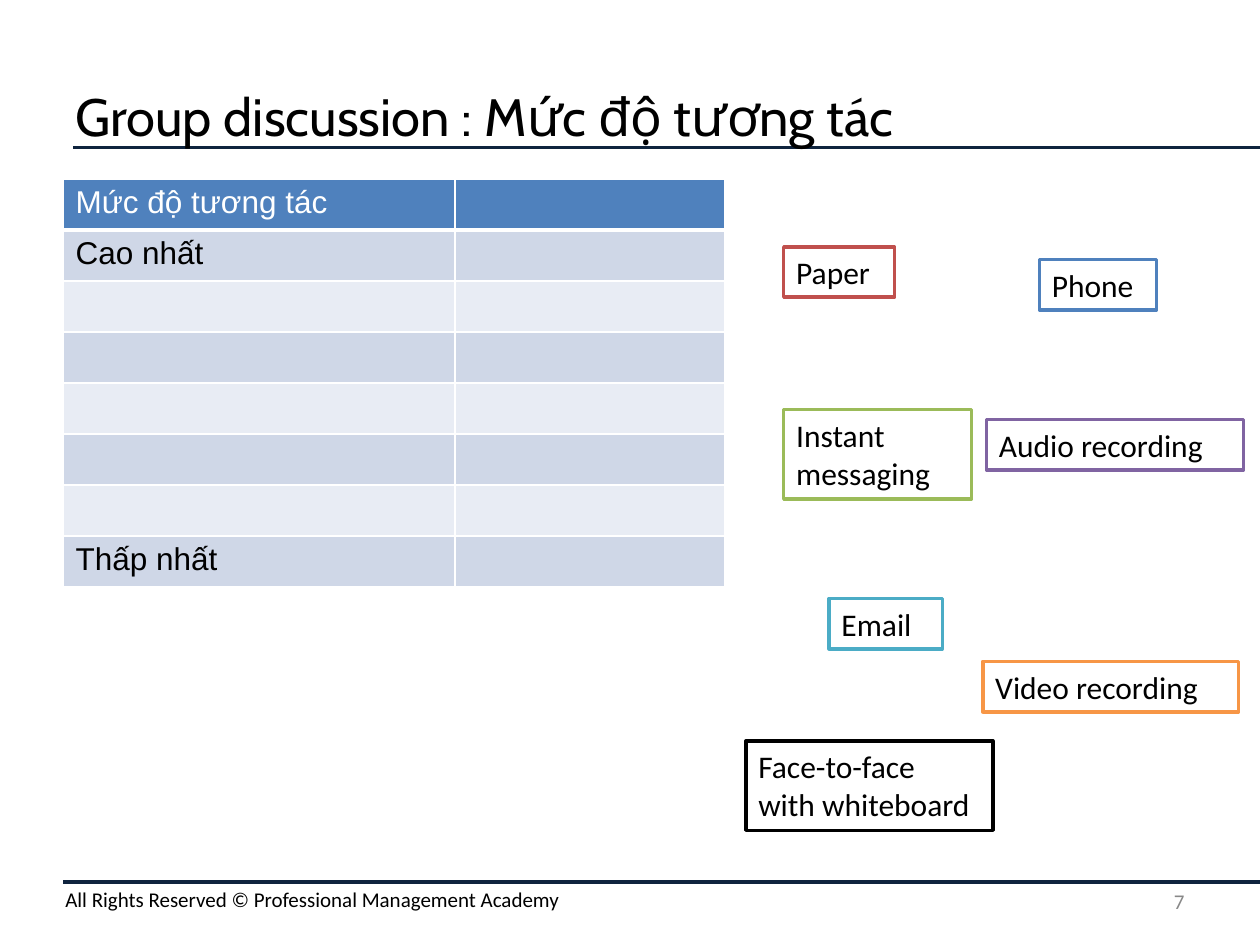
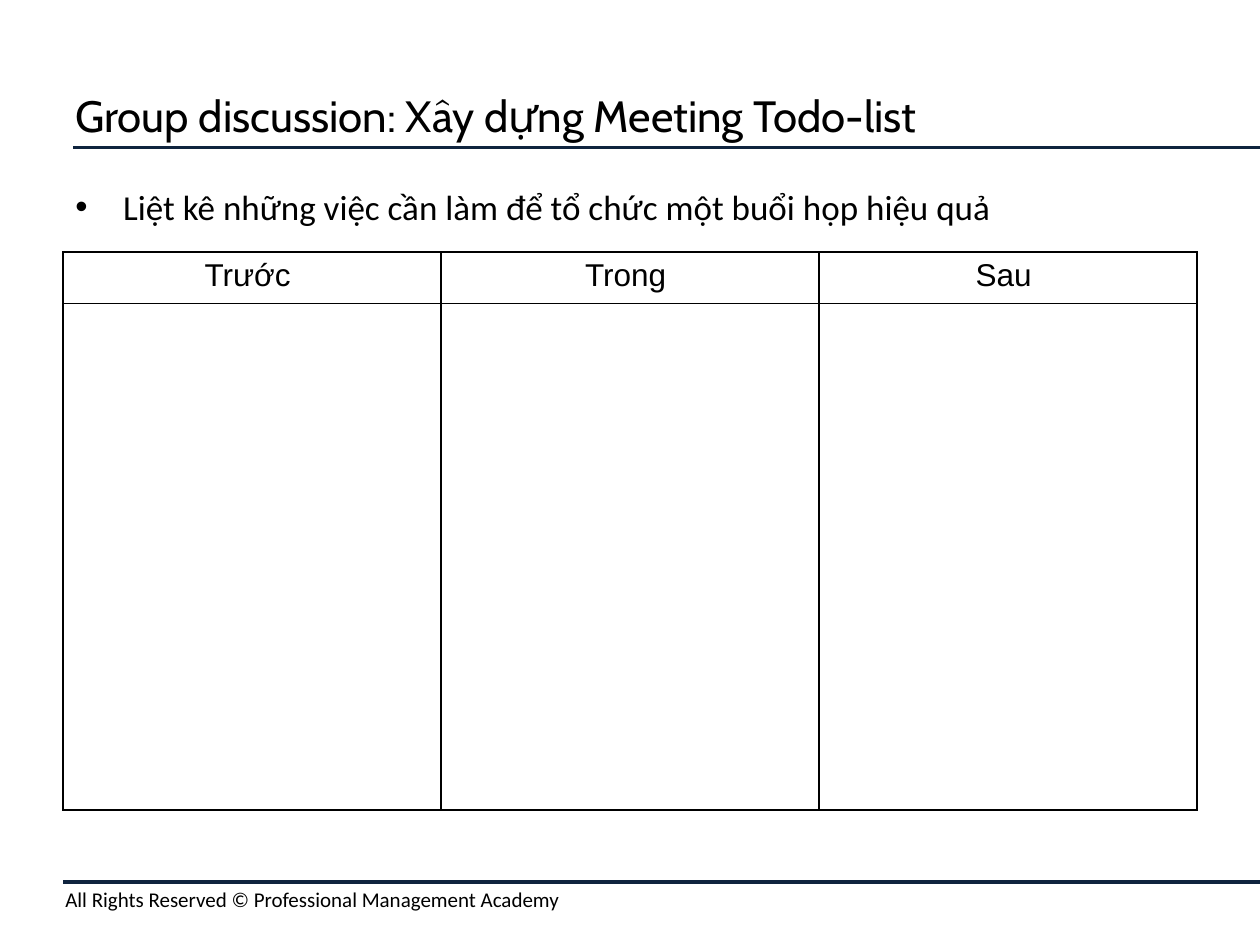
from lxml.etree import SubElement
from pptx import Presentation
from pptx.dml.color import RGBColor
from pptx.enum.shapes import MSO_CONNECTOR, MSO_SHAPE
from pptx.enum.text import MSO_ANCHOR, PP_ALIGN
from pptx.oxml.ns import qn
from pptx.util import Inches, Pt

COLORS = {
    "ink": "000000", "white": "FFFFFF", "rule": "0F243E", "muted": "888888",
    "blue": "4F81BD", "red": "C0504D", "green": "9BBB59", "purple": "8064A2",
    "teal": "4BACC6", "orange": "F79646", "band": "CFD7E7", "band_light": "E8ECF4",
}
BODY, HEADING, TABLE = "Calibri", "Cabin", "Arial"


def rgb(name):
    return RGBColor.from_string(COLORS[name])


def write(tf, text, size=18, font=BODY, color="ink", align=PP_ALIGN.LEFT,
          anchor=MSO_ANCHOR.TOP, bullet=None):
    """Fill a text frame, one paragraph for each line of text."""
    tf.word_wrap = True
    tf.vertical_anchor = anchor
    for i, line in enumerate(text.split("\n")):
        p = tf.paragraphs[0] if i == 0 else tf.add_paragraph()
        p.alignment = align
        if bullet:
            pPr = p._p.get_or_add_pPr()
            pPr.set("marL", str(Inches(0.38)))
            pPr.set("indent", str(-Inches(0.38)))
            SubElement(pPr, qn("a:buFont"), typeface=TABLE)
            SubElement(pPr, qn("a:buChar"), char=bullet)
        r = p.add_run()
        r.text = line
        r.font.size = Pt(size)
        r.font.name = font
        r.font.color.rgb = rgb(color)


def set_borders(cell, color, **widths):
    """Draw the four cell edges, 1 pt unless a width is given for L, R, T or B."""
    tcPr = cell._tc.get_or_add_tcPr()
    for side in "LRTB":
        ln = SubElement(tcPr, qn(f"a:ln{side}"), w=str(Pt(widths.get(side, 1))))
        fill = SubElement(ln, qn("a:solidFill"))
        SubElement(fill, qn("a:srgbClr"), val=COLORS[color])


class Deck:
    def __init__(self):
        self.prs = Presentation()
        self.prs.slide_width, self.prs.slide_height = Inches(10), Inches(7.5)
        self.s = None

    def add_slide(self, title, title_size):
        self.s = self.prs.slides.add_slide(self.prs.slide_layouts[6])
        self.rule(0.58, 1.17)
        self.rule(0.5, 7)
        self.text(0.42, 6.99, 9.58, 0.3,
                  "All Rights Reserved © Professional Management Academy", size=12)
        self.text(0.5, 0.5, 9, 0.83, title, size=title_size, font=HEADING,
                  anchor=MSO_ANCHOR.MIDDLE)

    def rule(self, left, top):
        line = self.s.shapes.add_connector(
            MSO_CONNECTOR.STRAIGHT, Inches(left), Inches(top), Inches(10), Inches(top))
        line.line.color.rgb = rgb("rule")
        line.line.width = Pt(2)
        SubElement(line._element.spPr, qn("a:effectLst"))

    def text(self, left, top, width, height, text, **fmt):
        sp = self.s.shapes.add_textbox(*map(Inches, (left, top, width, height)))
        write(sp.text_frame, text, **fmt)

    def card(self, left, top, width, height, text, color):
        sp = self.s.shapes.add_shape(
            MSO_SHAPE.RECTANGLE, *map(Inches, (left, top, width, height)))
        sp.shadow.inherit = False
        sp.fill.solid()
        sp.fill.fore_color.rgb = rgb("white")
        sp.line.color.rgb = rgb(color)
        sp.line.width = Pt(2)
        write(sp.text_frame, text)

    def table(self, left, top, col_widths, row_heights):
        frame = self.s.shapes.add_table(
            len(row_heights), len(col_widths), Inches(left), Inches(top),
            Inches(sum(col_widths)), Inches(sum(row_heights)))
        table = frame.table
        table.first_row = table.horz_banding = False
        for col, width in zip(table.columns, col_widths):
            col.width = Inches(width)
        for row, height in zip(table.rows, row_heights):
            row.height = Inches(height)
        return table


def add_interaction_slide(deck):
    deck.add_slide("Group discussion : Mức độ tương tác", 30)
    levels = deck.table(0.5, 1.42, [3.11, 2.14], [0.405] * 8)
    labels = {0: "Mức độ tương tác", 1: "Cao nhất", 7: "Thấp nhất"}
    header_edge = {0: {"B": 3}, 1: {"T": 3}}
    for i, row in enumerate(levels.rows):
        fill = "blue" if i == 0 else "band" if i % 2 else "band_light"
        for cell in row.cells:
            set_borders(cell, "white", **header_edge.get(i, {}))
            cell.fill.solid()
            cell.fill.fore_color.rgb = rgb(fill)
        if i in labels:
            write(row.cells[0].text_frame, labels[i], font=TABLE,
                  color="white" if i == 0 else "ink")
    deck.text(7.17, 6.95, 2.33, 0.4, "7", size=12, color="muted",
              align=PP_ALIGN.RIGHT, anchor=MSO_ANCHOR.MIDDLE)

    one_line, two_lines = 0.4, 0.71
    for card in [
        (6.22, 1.96, 0.88, one_line, "Paper", "red"),
        (7.83, 3.33, 2.04, one_line, "Audio recording", "purple"),
        (6.58, 4.75, 0.9, one_line, "Email", "teal"),
        (7.8, 5.25, 2.03, one_line, "Video recording", "orange"),
        (6.22, 3.25, 1.49, two_lines, "Instant\nmessaging", "green"),
        (8.25, 2.06, 0.93, one_line, "Phone", "blue"),
        (5.92, 5.88, 1.96, two_lines, "Face-to-face\nwith whiteboard", "ink"),
    ]:
        deck.card(*card)


def add_todo_slide(deck):
    deck.add_slide("Group discussion: Xây dựng Meeting Todo-list", 25)
    deck.text(0.5, 1.42, 9, 5.28,
              "Liệt kê những việc cần làm để tổ chức một buổi họp hiệu quả",
              size=20, bullet="•")
    phases = deck.table(0.5, 2, [3] * 3, [0.41, 4.02])
    for cell in phases.iter_cells():
        set_borders(cell, "ink")
        cell.fill.background()
    for cell, phase in zip(phases.rows[0].cells, ["Trước ", "Trong ", "Sau "]):
        write(cell.text_frame, phase, font=TABLE, align=PP_ALIGN.CENTER)


def main():
    deck = Deck()
    add_interaction_slide(deck)
    add_todo_slide(deck)
    deck.prs.save("out.pptx")


if __name__ == "__main__":
    main()
